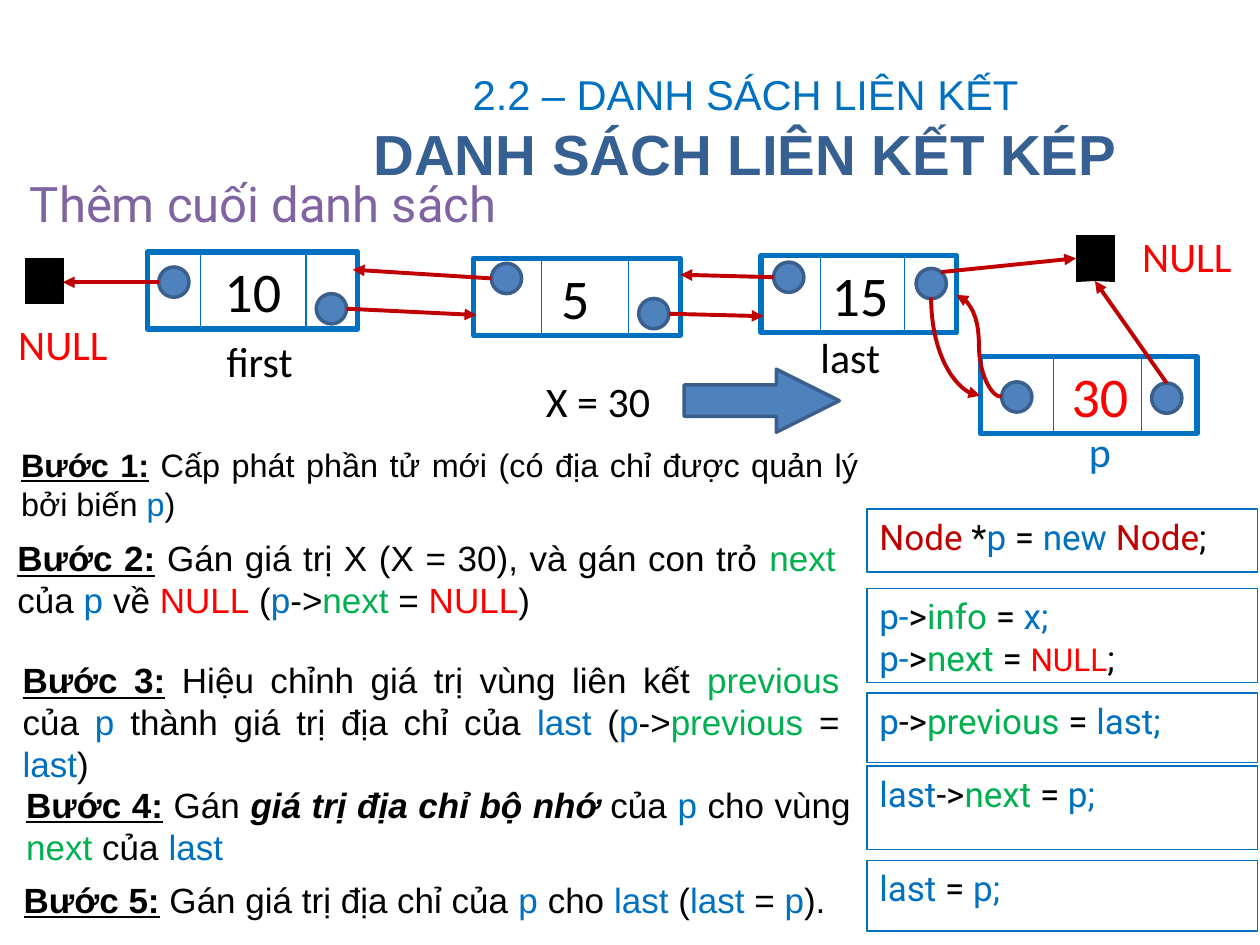
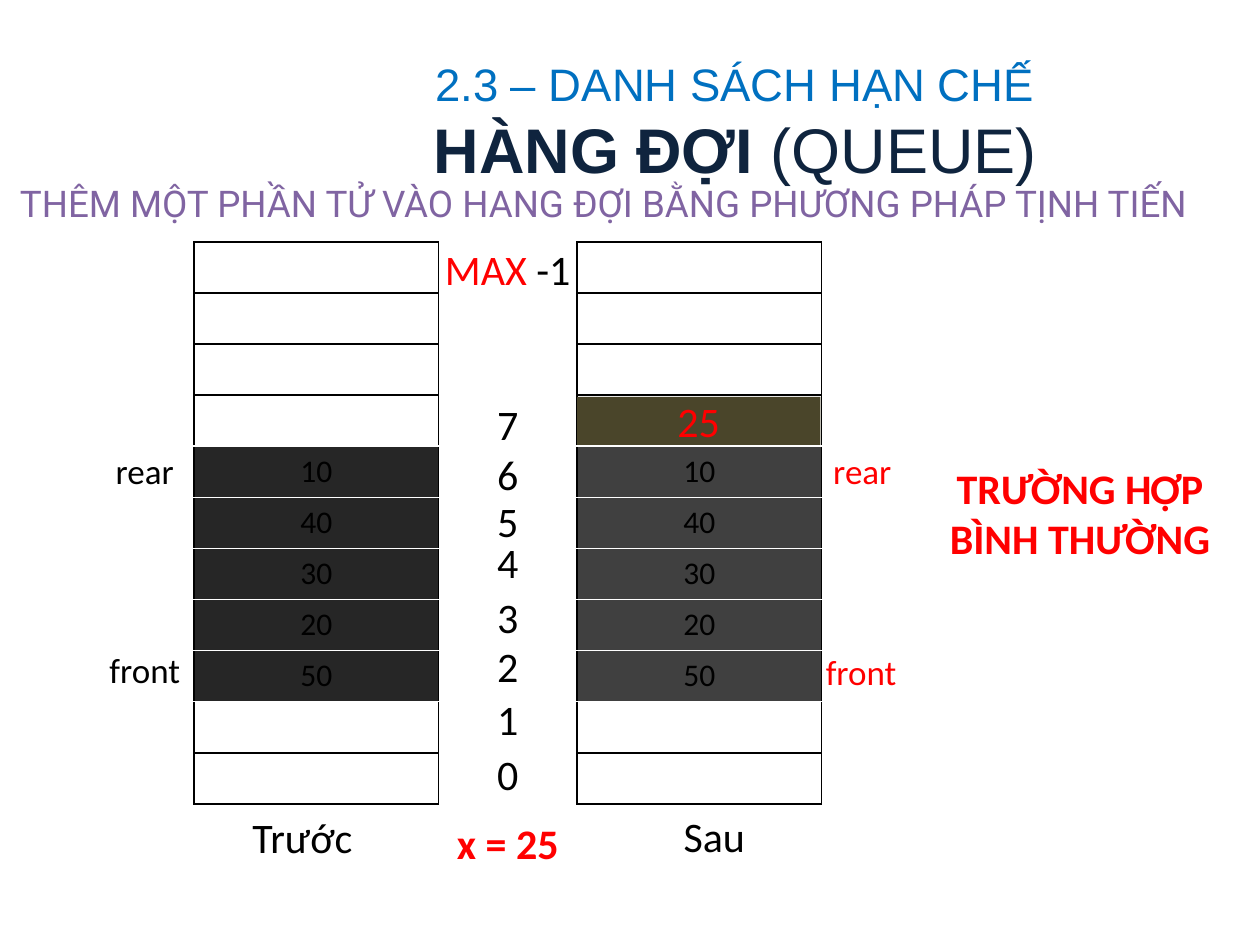
from lxml import etree
from pptx import Presentation
from pptx.dml.color import RGBColor
from pptx.enum.shapes import MSO_CONNECTOR, MSO_SHAPE
from pptx.enum.text import MSO_ANCHOR, MSO_AUTO_SIZE, PP_ALIGN
from pptx.oxml.ns import qn
from pptx.util import Pt

STRAIGHT, CURVE = MSO_CONNECTOR.STRAIGHT, MSO_CONNECTOR.CURVE
RECTANGLE, ELLIPSE, ARROW = MSO_SHAPE.RECTANGLE, MSO_SHAPE.OVAL, MSO_SHAPE.RIGHT_ARROW
LEFT, CENTER, JUSTIFY = PP_ALIGN.LEFT, PP_ALIGN.CENTER, PP_ALIGN.JUSTIFY
TOP, MIDDLE = MSO_ANCHOR.TOP, MSO_ANCHOR.MIDDLE
FIXED = MSO_AUTO_SIZE.NONE

BLACK, WHITE, RED, GREEN = "000000", "FFFFFF", "FF0000", "00B050"
BLUE, NAVY, MIDNIGHT, PURPLE = "0070C0", "376092", "0F243E", "8064A2"
CRIMSON, STEEL, STEEL_EDGE, OLIVE = "C00000", "4F81BD", "3A5F8C", "4A452A"
HEADING = {"bold": True, "underline": True}
BOLD = {"bold": True}
DOT = 17.28


def colour(value):
    return RGBColor.from_string(value)


def write(frame, lines, size, font="Calibri", align=CENTER, anchor=MIDDLE):
    frame_format = {"word_wrap": True, "auto_size": FIXED, "vertical_anchor": anchor}
    for name, value in frame_format.items():
        setattr(frame, name, value)
    for index, line in enumerate(lines):
        para = frame.add_paragraph() if index else frame.paragraphs[0]
        para.alignment = align
        for text, ink, *extra in line:
            span = para.add_run()
            span.text = text
            span.font.color.rgb = colour(ink)
            look = {"name": font, "size": Pt(size), "bold": False}
            for change in extra:
                look.update(change)
            for name, value in look.items():
                setattr(span.font, name, value)


def add_text(page, box, lines, size, **options):
    label = page.shapes.add_textbox(*map(Pt, box))
    write(label.text_frame, lines, size, **options)


def add_label(page, box, text, ink=BLACK, size=24, **extra):
    add_text(page, box, [[(text, ink, extra)]], size)


def add_block(page, kind, box, fill=None, edge=None, width=1):
    block = page.shapes.add_shape(kind, *map(Pt, box))
    block.shadow.inherit = False
    if fill:
        block.fill.solid()
        block.fill.fore_color.rgb = colour(fill)
    else:
        block.fill.background()
    if edge:
        block.line.color.rgb = colour(edge)
        block.line.width = Pt(width)
    else:
        block.line.fill.background()
    return block


def add_line(page, start, end, ink=CRIMSON, width=2.25, kind=STRAIGHT, arrow="tailEnd"):
    link = page.shapes.add_connector(kind, *map(Pt, start + end))
    link.line.color.rgb = colour(ink)
    link.line.width = Pt(width)
    properties = link._element.spPr
    if arrow:
        edge = properties.find(qn("a:ln"))
        etree.SubElement(edge, qn("a:" + arrow), type="triangle")
    etree.SubElement(properties, qn("a:effectLst"))
    return link


def add_title(page, box, lines, subtitle_box, subtitle, subtitle_size, subtitle_align):
    title = page.shapes.title
    for name, value in zip(("left", "top", "width", "height"), box):
        setattr(title, name, Pt(value))
    write(title.text_frame, lines, 26, font="Arial")
    add_text(page, subtitle_box, [[(subtitle, PURPLE)]], subtitle_size,
             font="Roboto", align=subtitle_align, anchor=TOP)


def add_node(page, box, dividers, value, value_left, dots, ink=BLACK):
    left, top, width, height = box
    add_block(page, RECTANGLE, box, edge=BLUE, width=3)
    for offset in dividers:
        x = left + offset
        add_line(page, (x, top), (x, top + height), BLUE, 0.75, arrow=None)
    add_label(page, (left + value_left, top + 7.6, 60, 28.8), value, ink, 32)
    for x, y in dots:
        add_block(page, ELLIPSE, (left + x, top + y, DOT, DOT), STEEL, STEEL_EDGE, 2)


def add_linked_list(page):
    nodes = [
        ((84.24, 144, 120.24, 44), (30.24, 90.7), "10", 30.24, ((6.5, 8.6), (96.5, 23.8)), BLACK),
        ((270.7, 147.6, 118.1, 44), (38.9, 88.6), "5", 28.1, ((10.1, 2.9), (94.3, 23)), BLACK),
        ((434.9, 146.2, 111.6, 44), (33.8, 82.1), "15", 26.6, ((7.2, 3.6), (88.6, 7.2)), BLACK),
        ((560.2, 203.8, 123.8, 44), (41.8, 92.2), "30", 38.4, ((12.2, 14.4), (97.9, 15.1)), RED),
    ]
    for node in nodes:
        add_node(page, *node)
    for left, top in ((14.4, 147.6), (614.9, 134.6)):
        add_block(page, RECTANGLE, (left, top, 21.6, 25.9), BLACK, BLACK, 0.25)
    insert = add_block(page, ARROW, (391, 211, 88.6, 36), STEEL, STEEL_EDGE, 2)
    insert.adjustments[1] = 1
    links = [
        ((198, 176.4), (272.2, 180)), ((382.3, 179.3), (436.3, 180.7)),
        ((537.8, 155.5), (614.9, 147.6)), ((280.8, 159.1), (201.6, 154.1)),
        ((442.1, 158.4), (388.8, 157)), ((90.7, 161.3), (36, 161.3)),
        ((666.7, 218.9), (625.7, 160.6)),
    ]
    for start, end in links:
        add_line(page, start, end)
    add_line(page, (572.4, 226.8), (546.5, 168.5), kind=CURVE)
    bend = add_line(page, (560.2, 226.1), (532.1, 169.9), kind=CURVE, arrow="headEnd")
    bend._element.spPr.find(qn("a:prstGeom")).set("prst", "curvedConnector2")
    labels = [
        (297.4, 214.6, 88.6, "X = 30", BLACK), (563, 243.4, 131, "p", BLUE),
        (636.5, 131.8, 83.5, "NULL", RED), (-5.8, 182.2, 83.5, "NULL", RED),
        (106.6, 191.5, 83.5, "first", BLACK), (444.2, 189.4, 83.5, "last", BLACK),
    ]
    for left, top, width, text, ink in labels:
        add_label(page, (left, top, width, 28.8), text, ink)


def add_steps(page):
    steps = [
        ((5, 250.6, 492.5, 55.4), 18.5, [
            ("Bước 1:", BLACK, HEADING),
            (" Cấp phát phần tử mới (có địa chỉ được quản lý bởi biến ", BLACK),
            ("p", BLUE), (")", BLACK)]),
        ((2.9, 303.1, 481.7, 80.6), 20, [
            ("Bước 2:", BLACK, HEADING),
            (" Gán giá trị X (X = 30), và gán con trỏ ", BLACK), ("next ", GREEN),
            ("của ", BLACK), ("p ", BLUE), ("về ", BLACK), ("NULL", RED), (" (", BLACK),
            ("p", BLUE), ("->", BLACK), ("next", GREEN), (" = ", BLACK),
            ("NULL", RED), (")", BLACK)]),
        ((5.8, 373, 481, 77), 20, [
            ("Bước 3:", BLACK, HEADING),
            (" Hiệu chỉnh giá trị vùng liên kết ", BLACK), ("previous ", GREEN),
            ("của ", BLACK), ("p ", BLUE), ("thành giá trị địa chỉ của ", BLACK),
            ("last", BLUE), (" (", BLACK), ("p", BLUE), ("->", BLACK),
            ("previous", GREEN), (" =", BLACK), (" last", BLUE), (")", BLACK)]),
        ((7.9, 444.2, 485.3, 55.4), 20, [
            ("Bước 4:", BLACK, HEADING), (" Gán ", BLACK),
            ("giá trị địa chỉ bộ nhớ ", BLACK, {"bold": True, "italic": True}),
            ("của ", BLACK), ("p ", BLUE), ("cho vùng ", BLACK), ("next ", GREEN),
            ("của ", BLACK), ("last", BLUE)]),
        ((6.5, 498.2, 480.2, 41.8), 20, [
            ("Bước 5:", BLACK, HEADING), (" Gán giá trị địa chỉ của ", BLACK),
            ("p ", BLUE), ("cho ", BLACK), ("last ", BLUE), ("(", BLACK),
            ("last", BLUE), (" = ", BLACK), ("p", BLUE), (").", BLACK)]),
    ]
    for box, size, line in steps:
        add_text(page, box, [line], size, font="Arial", align=JUSTIFY, anchor=TOP)


def add_code(page, left, width):
    snippets = [
        (290.9, 36, [[("Node", CRIMSON), (" *", BLACK), ("p", BLUE), (" =", BLACK),
                      (" new ", BLUE), ("Node", CRIMSON), (";", BLACK)]]),
        (336.2, 54, [[("p-", BLUE), (">", BLACK), ("info", GREEN), (" =", BLACK), (" x;", BLUE)],
                     [("p-", BLUE), (">", BLACK), ("next", GREEN), (" = ", BLACK),
                      ("NULL", RED, {"size": Pt(18)}), (";", BLACK)]]),
        (396, 39.6, [[("p", BLUE), ("->", BLACK), ("previous", GREEN), (" =", BLACK),
                      (" last;", BLUE)]]),
        (437.8, 47.5, [[("last", BLUE), ("->", BLACK), ("next", GREEN), (" =", BLACK),
                        (" p;", BLUE)]]),
        (491.8, 40.3, [[("last ", BLUE), ("=", BLACK), (" p;", BLUE)]]),
    ]
    for top, height, lines in snippets:
        panel = add_block(page, RECTANGLE, (left, top, width, height), edge=BLUE, width=0.75)
        write(panel.text_frame, lines, 20, font="Roboto", align=LEFT, anchor=TOP)


def set_borders(cell, top, bottom):
    properties = cell._tc.get_or_add_tcPr()
    sides = {"lnL": BLACK, "lnR": BLACK, "lnT": top, "lnB": bottom}
    for index, (side, ink) in enumerate(sides.items()):
        edge = etree.Element(qn("a:" + side), w=str(Pt(1)))
        paint = etree.SubElement(edge, qn("a:solidFill"))
        etree.SubElement(paint, qn("a:srgbClr"), val=ink)
        properties.insert(index, edge)


def outline_text(span):
    edge = etree.Element(qn("a:ln"), w=str(Pt(0.75)))
    paint = etree.SubElement(edge, qn("a:solidFill"))
    etree.SubElement(paint, qn("a:srgbClr"), val=WHITE)
    span.font._element.insert(0, edge)


def add_queue(page, box, values, fill):
    count = len(values)
    table = page.shapes.add_table(count, 1, *map(Pt, box)).table
    table.first_row = table.horz_banding = False
    for index, value in enumerate(values):
        table.rows[index].height = Pt(box[3] / count)
        cell = table.cell(index, 0)
        cell.vertical_anchor = MIDDLE
        near = [values[max(index - 1, 0)], values[min(index + 1, count - 1)]]
        set_borders(cell, *(WHITE if value or other else BLACK for other in near))
        if not value:
            cell.fill.background()
            continue
        cell.fill.solid()
        cell.fill.fore_color.rgb = colour(fill)
        para = cell.text_frame.paragraphs[0]
        para.alignment = CENTER
        span = para.add_run()
        span.text = value
        look = {"name": "Calibri", "size": Pt(18), "bold": False}
        for name, setting in look.items():
            setattr(span.font, name, setting)
        span.font.color.rgb = colour(BLACK)
        outline_text(span)


def add_queue_labels(page):
    index_tops = (428.4, 396.7, 366.5, 338.4, 307.4, 283.7, 257, 228.2)
    for index, top in enumerate(index_tops):
        add_label(page, (269.3, top, 41.8, 27.4), str(index))
    add_text(page, (231.1, 139.7, 118, 27.4), [[("MAX ", RED), ("-1", BLACK)]], 24)
    ends = [
        (44.6, 254.9, 76.3, "rear", BLACK), (44.6, 368.6, 76.3, "front", BLACK),
        (457.9, 254.9, 69.8, "rear", RED), (457.2, 370, 69.8, "front", RED),
    ]
    for left, top, width, text, ink in ends:
        add_label(page, (left, top, width, 27.4), text, ink, 20)
    add_label(page, (113.8, 464.4, 118, 27.4), "Trước")
    add_label(page, (349.2, 463.7, 118, 27.4), "Sau")
    add_label(page, (231.1, 468, 118, 27.4), "x = 25", RED, bold=True)
    add_label(page, (535, 266.4, 164.2, 53.3), "TRƯỜNG HỢP BÌNH THƯỜNG", RED, bold=True)


def build_list_slide(page):
    heading = [[("2.2 – DANH SÁCH LIÊN KẾT", BLUE, {"size": Pt(23.8)})],
               [("DANH SÁCH LIÊN KẾT KÉP", NAVY, BOLD, {"size": Pt(32.3)})]]
    add_title(page, (167.8, 23.8, 516.2, 84.2), heading,
              (10, 95.8, 310.3, 34.6), "Thêm cuối danh sách", 28, LEFT)
    page.shapes.title.text_frame.paragraphs[0].line_spacing = 1.5
    add_linked_list(page)
    add_steps(page)
    add_code(page, 495.4, 223.2)


def build_queue_slide(page):
    large = {"size": Pt(36)}
    heading = [[("2.3 – DANH SÁCH HẠN CHẾ", BLUE)],
               [("HÀNG ĐỢI", MIDNIGHT, BOLD, large), (" (QUEUE)", MIDNIGHT, large)]]
    add_title(page, (162, 30.2, 516.2, 77.8), heading, (4.3, 100, 696.2, 36.7),
              "THÊM MỘT PHẦN TỬ VÀO HANG ĐỢI BẰNG PHƯƠNG PHÁP TỊNH TIẾN", 21, JUSTIFY)
    values = [""] * 4 + ["10", "40", "30", "20", "50"] + [""] * 2
    for left, fill in ((110.9, "262626"), (329.8, "404040")):
        add_queue(page, (left, 138.2, 139.7, 321.2), values, fill)
    added = add_block(page, RECTANGLE, (329.8, 226.8, 139, 27.4), OLIVE)
    write(added.text_frame, [[("25", RED)]], 24)
    add_queue_labels(page)


def main():
    deck = Presentation()
    deck.slide_width, deck.slide_height = Pt(720), Pt(540)
    for build in (build_list_slide, build_queue_slide):
        build(deck.slides.add_slide(deck.slide_layouts[5]))
    deck.save("out.pptx")


if __name__ == "__main__":
    main()
